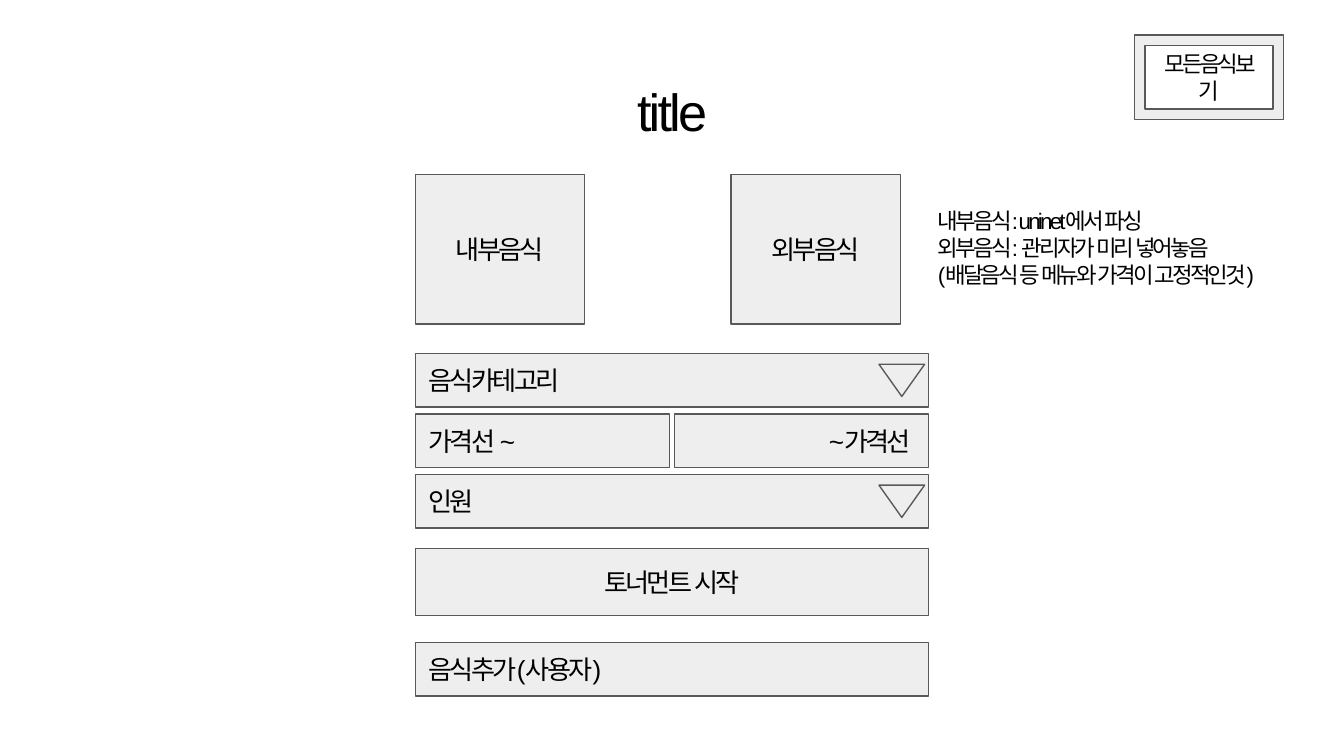
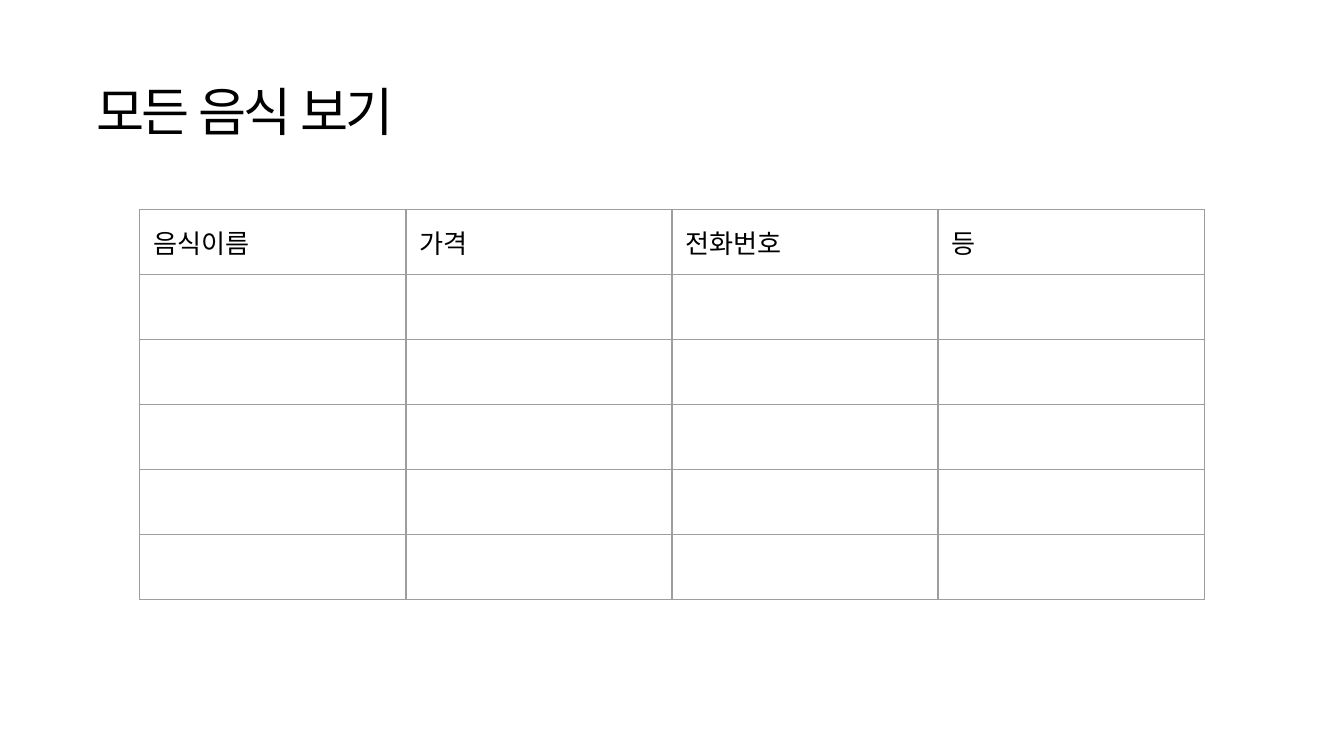
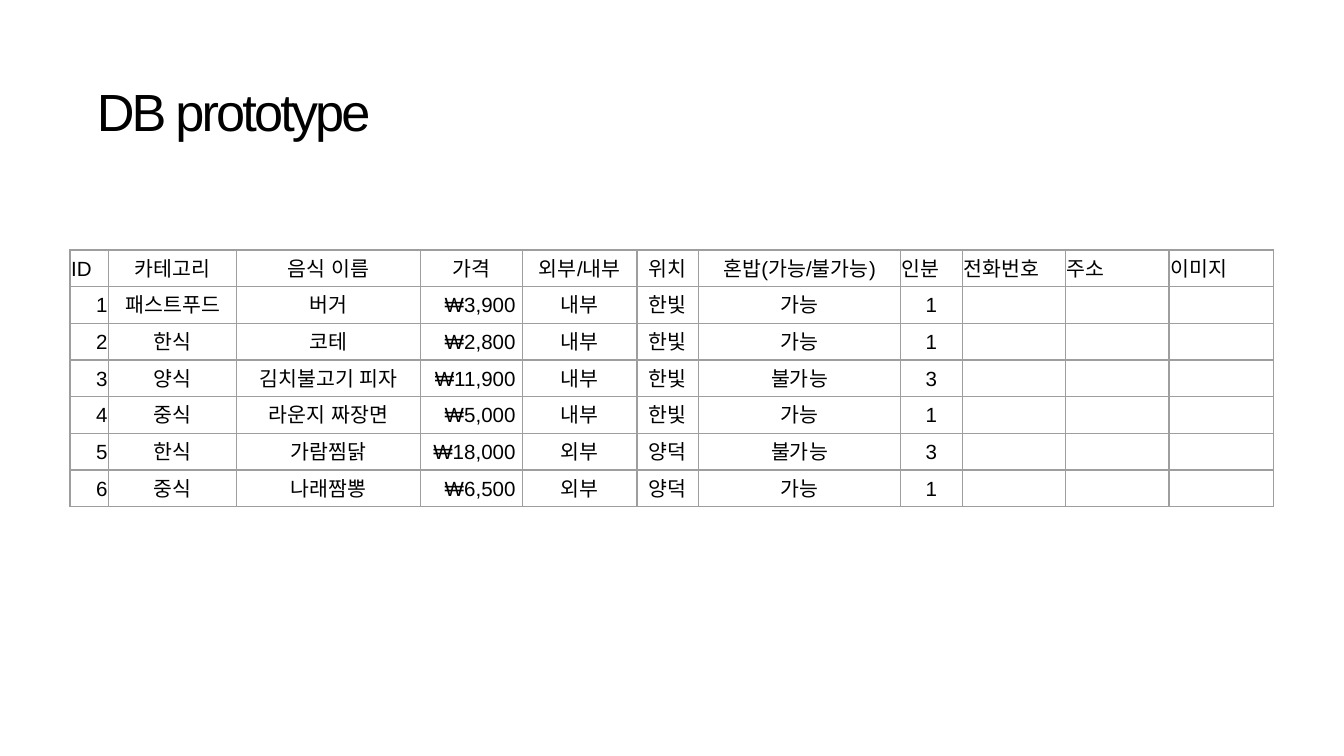
from dataclasses import dataclass

from lxml import etree
from pptx import Presentation
from pptx.dml.color import RGBColor
from pptx.enum.shapes import MSO_SHAPE
from pptx.enum.text import MSO_ANCHOR, MSO_AUTO_SIZE, PP_ALIGN
from pptx.oxml.ns import qn
from pptx.text.text import Font
from pptx.util import Inches, Pt

COLORS = {"background": "FFFFFF", "text": "000000", "panel": "EEEEEE",
          "outline": "595959", "grid": "9E9E9E"}
FONT = "Arial"
KOREAN_FONT = "Noto Sans CJK KR"
TIGHT = -1.5
LINE_WIDTH = Pt(0.75)
INSET = 0.1

LEFT, CENTER, RIGHT = PP_ALIGN.LEFT, PP_ALIGN.CENTER, PP_ALIGN.RIGHT
TOP, MIDDLE = MSO_ANCHOR.TOP, MSO_ANCHOR.MIDDLE
RECTANGLE, FRAME = MSO_SHAPE.RECTANGLE, MSO_SHAPE.FRAME
TRIANGLE = MSO_SHAPE.ISOSCELES_TRIANGLE

FORM_LEFT, FORM_WIDTH = 3.09, 3.82
FIELD_TOP, FIELD_HEIGHT, FIELD_STEP = 2.63, 0.4, 0.45
HALF_WIDTH, CHOICE_WIDTH, CHOICE_HEIGHT = 1.89, 1.26, 1.11


@dataclass(frozen=True)
class Box:
    text: str
    left: float
    top: float
    width: float
    height: float
    align: PP_ALIGN = CENTER
    size: int = 14
    kind: MSO_SHAPE = RECTANGLE
    dropdown: bool = False


def field(text: str, row: int, **options) -> Box:
    """Place a form field on the evenly spaced rows."""
    settings = {"left": FORM_LEFT, "width": FORM_WIDTH, "align": LEFT, **options}
    return Box(text, top=FIELD_TOP + row * FIELD_STEP, height=FIELD_HEIGHT, **settings)


BOXES = [
    Box("내부음식", FORM_LEFT, 1.3, CHOICE_WIDTH, CHOICE_HEIGHT),
    Box("외부음식", 5.44, 1.3, CHOICE_WIDTH, CHOICE_HEIGHT),
    Box("토너먼트 시작", FORM_LEFT, 4.08, FORM_WIDTH, 0.5),
    field("음식카테고리", 0, dropdown=True),
    Box("음식추가(사용자)", FORM_LEFT, 4.78, FORM_WIDTH, FIELD_HEIGHT, LEFT),
    field("인원", 2, dropdown=True),
    field("가격선 ~", 1, width=HALF_WIDTH),
    field("~가격선 ", 1, left=FORM_LEFT + FORM_WIDTH - HALF_WIDTH,
          width=HALF_WIDTH, align=RIGHT),
    Box("모든음식보기", 8.44, 0.26, 1.11, 0.63, size=12, kind=FRAME),
]
SOURCE_NOTES = [
    "내부음식: uninet에서 파싱",
    "외부음식: 관리자가 미리 넣어놓음",
    "(배달음식 등 메뉴와 가격이 고정적인것)",
]
FOOD_HEADERS = ["음식이름", "가격", "전화번호", "등"]
FOOD_EMPTY_ROWS = 5

DB_HEADERS = ["ID", "카테고리", "음식 이름", "가격", "외부/내부", "위치",
              "혼밥(가능/불가능)", "인분", "전화번호", "주소", "이미지"]
DB_ROWS = [
    ["1", "패스트푸드", "버거", "₩3,900 ", "내부", "한빛", "가능", "1"],
    ["2", "한식", "코테", "₩2,800 ", "내부", "한빛", "가능", "1"],
    ["3", "양식", "김치불고기 피자", "₩11,900 ", "내부", "한빛", "불가능", "3"],
    ["4", "중식", "라운지 짜장면", "₩5,000 ", "내부", "한빛", "가능", "1"],
    ["5", "한식", "가람찜닭", "₩18,000 ", "외부", "양덕", "불가능", "3"],
    ["6", "중식", "나래짬뽕", "₩6,500 ", "외부", "양덕", "가능", "1"],
]
DB_WIDTHS = [0.29, 0.95, 1.37, 0.76, 0.85, 0.46, 1.5, 0.46, 0.77, 0.77, 0.78]
DB_HEIGHT = 1.91
DB_HEADER_ALIGNS = [LEFT] + [CENTER] * 6 + [LEFT] * 4
DB_BODY_ALIGNS = [RIGHT, CENTER, CENTER, RIGHT] + [CENTER] * 4 + [LEFT] * 3


def rgb(name: str) -> RGBColor:
    return RGBColor.from_string(COLORS[name])


def inches(*values: float) -> list:
    return [Inches(value) for value in values]


def write_text(frame, text: str, *, size: float, font: str = FONT,
               align: PP_ALIGN = LEFT, spacing: float = 0) -> None:
    """Write one paragraph per line; an empty line still gets its format."""
    frame.word_wrap = True
    for index, line in enumerate(text.split("\n")):
        paragraph = frame.add_paragraph() if index else frame.paragraphs[0]
        paragraph.alignment = align
        if line:
            run = paragraph.add_run()
            run.text = line
            properties = run._r.get_or_add_rPr()
        else:
            properties = paragraph._p.get_or_add_endParaRPr()
        style = Font(properties)
        style.size = Pt(size)
        style.name = font
        style.color.rgb = rgb("text")
        etree.SubElement(properties, qn("a:ea"), typeface=font)
        if spacing:
            properties.set("spc", str(round(spacing * 100)))


def set_margins(target, margins: list[float]) -> None:
    """Set left, top, right and bottom margins of a text frame or a cell."""
    (target.margin_left, target.margin_top,
     target.margin_right, target.margin_bottom) = inches(*margins)


def set_frame(frame, anchor: MSO_ANCHOR) -> None:
    frame.auto_size = MSO_AUTO_SIZE.NONE
    frame.vertical_anchor = anchor
    set_margins(frame, [INSET] * 4)


def add_slide(presentation, title: str, *, left: float = 0.62, align: PP_ALIGN = LEFT):
    slide = presentation.slides.add_slide(presentation.slide_layouts[5])
    slide.background.fill.solid()
    slide.background.fill.fore_color.rgb = rgb("background")
    shape = slide.shapes.title
    shape.left, shape.top, shape.width, shape.height = inches(left, 0.49, 9.32, 0.63)
    set_frame(shape.text_frame, TOP)
    write_text(shape.text_frame, title, size=28, align=align, spacing=TIGHT)
    return slide


def add_panel(slide, kind: MSO_SHAPE, *place: float):
    shape = slide.shapes.add_shape(kind, *inches(*place))
    shape.shadow.inherit = False
    shape.fill.solid()
    shape.fill.fore_color.rgb = rgb("panel")
    shape.line.color.rgb = rgb("outline")
    shape.line.width = LINE_WIDTH
    return shape


def add_box(slide, box: Box) -> None:
    shape = add_panel(slide, box.kind, box.left, box.top, box.width, box.height)
    set_frame(shape.text_frame, MIDDLE)
    write_text(shape.text_frame, box.text, size=box.size, align=box.align, spacing=TIGHT)
    if box.dropdown:
        arrow = add_panel(slide, TRIANGLE, box.left + box.width - 0.37,
                          box.top + 0.08, 0.34, 0.24)
        arrow.rotation = 180


def set_borders(cell) -> None:
    properties = cell._tc.get_or_add_tcPr()
    for index, side in enumerate(("lnL", "lnR", "lnT", "lnB")):
        line = etree.Element(qn(f"a:{side}"), w=str(LINE_WIDTH))
        fill = etree.SubElement(line, qn("a:solidFill"))
        etree.SubElement(fill, qn("a:srgbClr"), val=COLORS["grid"])
        properties.insert(index, line)


def add_grid(slide, rows: list[list[str]], *, left: float, top: float,
             widths: list[float], row_height: float, aligns: list[list[PP_ALIGN]],
             margins: list[float], anchor: MSO_ANCHOR, size: int, font: str) -> None:
    """Add a bordered table; rows shorter than the widths end in empty cells."""
    place = inches(left, top, sum(widths), row_height * len(rows))
    table = slide.shapes.add_table(len(rows), len(widths), *place).table
    table.first_row = table.horz_banding = False
    for column, width in zip(table.columns, widths):
        column.width = Inches(width)
    for row, values, row_aligns in zip(table.rows, rows, aligns):
        row.height = Inches(row_height)
        for index, cell in enumerate(row.cells):
            text = values[index] if index < len(values) else ""
            cell.fill.background()
            cell.vertical_anchor = anchor
            set_margins(cell, margins)
            set_borders(cell)
            write_text(cell.text_frame, text, size=size, font=font,
                       align=row_aligns[index])


def build_start_slide(presentation) -> None:
    slide = add_slide(presentation, "title", left=0.34, align=CENTER)
    notes = slide.shapes.add_textbox(*inches(6.88, 1.44, 6.97, 0.81)).text_frame
    set_frame(notes, TOP)
    write_text(notes, "\n".join(SOURCE_NOTES), size=12, spacing=TIGHT)
    for box in BOXES:
        add_box(slide, box)


def build_food_slide(presentation) -> None:
    slide = add_slide(presentation, "모든 음식 보기")
    rows = [FOOD_HEADERS] + [[]] * FOOD_EMPTY_ROWS
    columns = len(FOOD_HEADERS)
    add_grid(slide, rows, left=1.04, top=1.56, widths=[1.98] * columns,
             row_height=0.42, aligns=[[LEFT] * columns] * len(rows),
             margins=[INSET] * 4, anchor=TOP, size=14, font=KOREAN_FONT)


def build_database_slide(presentation) -> None:
    slide = add_slide(presentation, "DB prototype")
    rows = [DB_HEADERS] + DB_ROWS
    add_grid(slide, rows, left=0.52, top=1.86, widths=DB_WIDTHS,
             row_height=DB_HEIGHT / len(rows),
             aligns=[DB_HEADER_ALIGNS] + [DB_BODY_ALIGNS] * len(DB_ROWS),
             margins=[0.01, 0.01, 0.01, 0], anchor=MIDDLE, size=11, font=FONT)


def main() -> None:
    presentation = Presentation()
    presentation.slide_width = Inches(10)
    presentation.slide_height = presentation.slide_width * 9 // 16
    build_start_slide(presentation)
    build_food_slide(presentation)
    build_database_slide(presentation)
    presentation.save("out.pptx")


if __name__ == "__main__":
    main()
